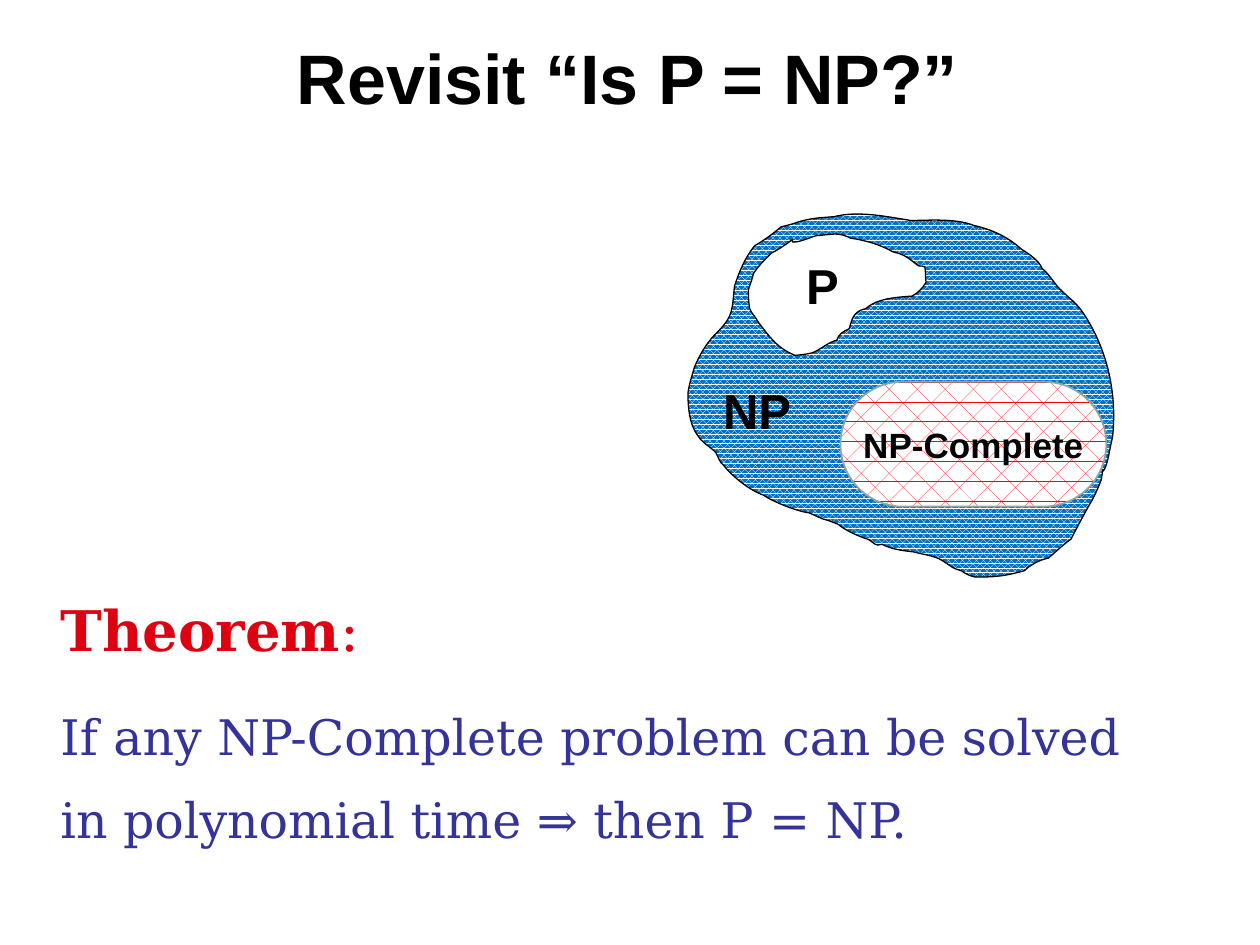
from lxml import etree
from pptx import Presentation
from pptx import util as u
from pptx.dml.color import RGBColor
from pptx.enum import dml, shapes, text
from pptx.oxml import parse_xml
from pptx.oxml.ns import nsdecls, qn

NP_START = (6.62, 1.72)
NP_CURVES = [
    (6.49, 1.73, 6.45, 1.73, 6.34, 1.76), (6.29, 1.78, 6.2, 1.8, 6.2, 1.8),
    (6.13, 1.86, 6.06, 1.91, 5.99, 1.95), (5.91, 2.05, 5.87, 2.15, 5.83, 2.27),
    (5.82, 2.35, 5.82, 2.44, 5.79, 2.51), (5.76, 2.57, 5.72, 2.61, 5.68, 2.65),
    (5.61, 2.72, 5.55, 2.82, 5.51, 2.92), (5.49, 2.99, 5.47, 3.05, 5.46, 3.12),
    (5.46, 3.23, 5.47, 3.37, 5.54, 3.46), (5.58, 3.52, 5.63, 3.54, 5.68, 3.59),
    (5.7, 3.62, 5.71, 3.67, 5.74, 3.69), (5.82, 3.79, 5.95, 3.89, 6.06, 3.93),
    (6.13, 3.98, 6.33, 4.06, 6.42, 4.07), (6.47, 4.09, 6.52, 4.12, 6.57, 4.13),
    (6.6, 4.14, 6.65, 4.16, 6.65, 4.16), (6.71, 4.21, 6.82, 4.26, 6.89, 4.28),
    (6.94, 4.31, 6.95, 4.34, 7, 4.32), (7.08, 4.36, 7.16, 4.37, 7.25, 4.38),
    (7.32, 4.4, 7.42, 4.41, 7.48, 4.45), (7.59, 4.52, 7.54, 4.5, 7.63, 4.53),
    (7.67, 4.56, 7.7, 4.57, 7.74, 4.58), (7.92, 4.58, 7.98, 4.57, 8.13, 4.53),
    (8.18, 4.48, 8.26, 4.44, 8.32, 4.43), (8.38, 4.38, 8.44, 4.32, 8.5, 4.28),
    (8.55, 4.18, 8.6, 4.09, 8.65, 4), (8.69, 3.94, 8.74, 3.81, 8.74, 3.81),
    (8.77, 3.63, 8.73, 3.82, 8.78, 3.69), (8.8, 3.63, 8.81, 3.55, 8.83, 3.47),
    (8.87, 3.11, 8.78, 2.74, 8.58, 2.46), (8.53, 2.39, 8.45, 2.34, 8.39, 2.27),
    (8.35, 2.22, 8.32, 2.17, 8.27, 2.13), (8.25, 2.07, 8.16, 2.01, 8.11, 1.98),
    (8, 1.88, 7.87, 1.82, 7.73, 1.79), (7.59, 1.73, 7.35, 1.75, 7.23, 1.75),
    (7.04, 1.72, 6.81, 1.67, 6.62, 1.72),
]
P_START = (6.29, 1.9)
P_CURVES = [
    (6.24, 1.94, 6.18, 1.98, 6.12, 2.01), (6.07, 2.06, 6.02, 2.11, 5.98, 2.17),
    (5.97, 2.22, 5.95, 2.26, 5.94, 2.3), (5.94, 2.35, 5.94, 2.4, 5.95, 2.45),
    (5.96, 2.48, 6, 2.52, 6.02, 2.56), (6.1, 2.66, 6.16, 2.76, 6.31, 2.82),
    (6.32, 2.82, 6.44, 2.81, 6.47, 2.79), (6.53, 2.76, 6.57, 2.72, 6.64, 2.7),
    (6.66, 2.65, 6.69, 2.63, 6.74, 2.61), (6.76, 2.54, 6.77, 2.47, 6.87, 2.45),
    (6.96, 2.37, 7.1, 2.36, 7.24, 2.35), (7.29, 2.32, 7.32, 2.29, 7.35, 2.24),
    (7.34, 2.2, 7.35, 2.16, 7.34, 2.12), (7.33, 2.11, 7.31, 2.11, 7.29, 2.11),
    (7.22, 2.06, 7.19, 2.02, 7.09, 2), (6.98, 1.94, 6.88, 1.91, 6.75, 1.89),
    (6.65, 1.84, 6.62, 1.86, 6.48, 1.87), (6.44, 1.88, 6.33, 1.93, 6.29, 1.92),
    (6.29, 1.92, 6.29, 1.91, 6.29, 1.9),
]


def rgb(value):
    return RGBColor.from_string(value)


def place(sp, *box):
    sp.left, sp.top, sp.width, sp.height = map(u.Inches, box)


def add_run(p, content, size, color="000000", font="Arial", bold=True):
    r = p.add_run()
    r.text = content
    r.font.size = u.Pt(size)
    r.font.name = font
    r.font.bold = bold
    r.font.color.rgb = rgb(color)


def set_pattern(sp, pattern, fore, back):
    sp.fill.patterned()
    sp.fill.pattern = pattern
    sp.fill.fore_color.rgb = rgb(fore)
    sp.fill.back_color.rgb = rgb(back)


def set_line(sp, color, width):
    sp.line.color.rgb = rgb(color)
    sp.line.width = u.Pt(width)
    sp.shadow.inherit = False


def bend_segments(sp):
    lines = list(sp._element.iter(qn("a:lnTo")))
    for i in range(0, len(lines), 3):
        curve = etree.Element(qn("a:cubicBezTo"))
        lines[i].addprevious(curve)
        for line in lines[i:i + 3]:
            curve.append(line[0])
            line.getparent().remove(line)


def add_blob(group, start, curves):
    builder = group.shapes.build_freeform(*map(u.Inches, start))
    points = [(u.Inches(c[i]), u.Inches(c[i + 1])) for c in curves for i in (0, 2, 4)]
    builder.add_line_segments(points, close=True)
    sp = builder.convert_to_shape()
    bend_segments(sp)
    set_line(sp, "000000", 0.75)
    return sp


def add_label(group, content, *box):
    sp = group.shapes.add_textbox(*map(u.Inches, box))
    tf = sp.text_frame
    tf.word_wrap = False
    tf.auto_size = text.MSO_AUTO_SIZE.SHAPE_TO_FIT_TEXT
    add_run(tf.paragraphs[0], content, 28)


def add_pill(group, content, *box):
    sp = group.shapes.add_shape(shapes.MSO_SHAPE.ROUNDED_RECTANGLE, *map(u.Inches, box))
    sp.adjustments[0] = 0.5
    set_pattern(sp, dml.MSO_PATTERN.DIVOT, "FF0000", "FFFFFF")
    set_line(sp, "8AA6A8", 1)
    tf = sp.text_frame
    tf.margin_left = tf.margin_right = tf.margin_top = tf.margin_bottom = 0
    tf.vertical_anchor = text.MSO_ANCHOR.MIDDLE
    p = tf.paragraphs[0]
    p.alignment = text.PP_ALIGN.CENTER
    add_run(p, content, 20)


def format_paragraph(p, before, after):
    p.line_spacing = 1.4
    p.space_before = u.Pt(before)
    p.space_after = u.Pt(after)
    pPr = p._p.get_or_add_pPr()
    pPr.set("marL", "0")
    pPr.set("indent", "0")
    pPr.append(parse_xml(f"<a:buNone {nsdecls('a')}/>"))


def add_title(s, content):
    sp = s.shapes.title
    place(sp, 0.19, 0.11, 9.58, 0.99)
    tf = sp.text_frame
    tf.auto_size = text.MSO_AUTO_SIZE.NONE
    tf.vertical_anchor = text.MSO_ANCHOR.MIDDLE
    p = tf.paragraphs[0]
    p.alignment = text.PP_ALIGN.CENTER
    add_run(p, content, 40)


def add_theorem(s):
    sp = s.placeholders[1]
    place(sp, 0.38, 4.46, 9, 2.42)
    tf = sp.text_frame
    tf.auto_size = text.MSO_AUTO_SIZE.NONE
    p = tf.paragraphs[0]
    format_paragraph(p, 6.4, 0)
    add_run(p, "Theorem", 32, "DD0111", "DejaVu Serif")
    add_run(p, ":", 32, "DD0111", "DejaVu Serif", False)
    p = tf.add_paragraph()
    format_paragraph(p, 12, 6)
    add_run(p, "If any NP-Complete problem can be solved in polynomial time ⇒ then P = NP.",
            28, "333399", "DejaVu Serif", False)


def add_class_diagram(s):
    group = s.shapes.add_group_shape()
    np_region = add_blob(group, NP_START, NP_CURVES)
    set_pattern(np_region, dml.MSO_PATTERN.PERCENT_75, "FFFFFF", "0070C0")
    p_region = add_blob(group, P_START, P_CURVES)
    p_region.fill.solid()
    p_region.fill.fore_color.rgb = rgb("FFFFFF")
    add_label(group, "P", 6.3, 1.98, 0.46, 0.57)
    add_label(group, "NP", 5.64, 2.97, 0.75, 0.57)
    add_pill(group, "NP-Complete", 6.67, 3.03, 2.11, 0.99)


def main():
    prs = Presentation()
    prs.slide_width, prs.slide_height = u.Inches(10), u.Inches(7.5)
    s = prs.slides.add_slide(prs.slide_layouts[1])
    add_title(s, "Revisit “Is P = NP?”")
    add_theorem(s)
    add_class_diagram(s)
    prs.save("out.pptx")


if __name__ == "__main__":
    main()
